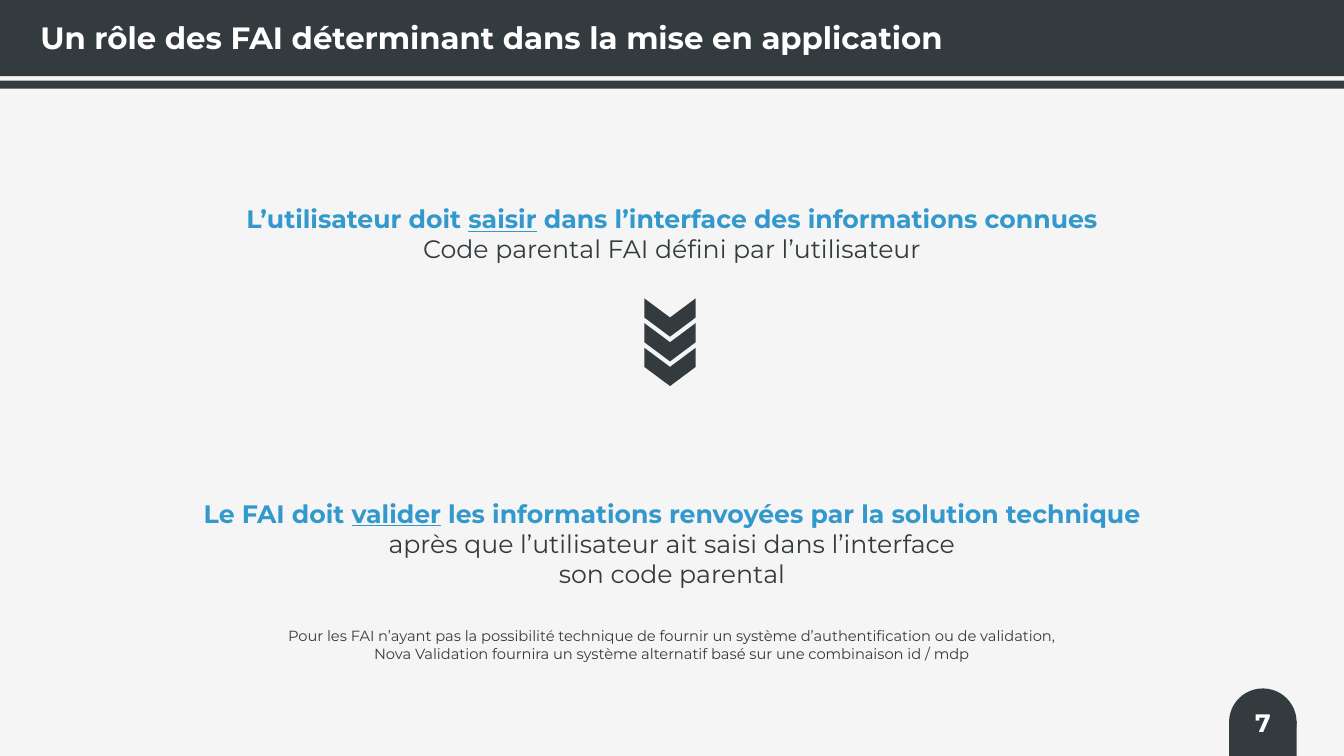
from pptx import Presentation, util as u
from pptx.dml.color import RGBColor
from pptx.enum import shapes, text

W, H = 13.33, 7.5
FONT = "Montserrat"
DARK, BLUE, WHITE, PALE = "343B3F", "3399CC", "FFFFFF", "F5F5F5"
MS = shapes.MSO_SHAPE
CENTER, LEFT = text.PP_ALIGN.CENTER, text.PP_ALIGN.LEFT


def rgb(hex_color):
    return RGBColor.from_string(hex_color)


def inches(box):
    return [u.Inches(v) for v in box]


def add_block(slide, kind, box, rotation=0):
    sp = slide.shapes.add_shape(kind, *inches(box))
    sp.shadow.inherit = False
    sp.fill.solid()
    sp.fill.fore_color.rgb = rgb(DARK)
    sp.line.fill.background()
    sp.rotation = rotation
    return sp


def add_run(p, content, size=18, color=DARK, bold=False, underline=False):
    r = p.add_run()
    r.text = content
    r.font.name, r.font.size = FONT, u.Pt(size)
    r.font.bold, r.font.underline = bold, underline
    r.font.color.rgb = rgb(color)


def write(sp, lines, align=CENTER, **fmt):
    """Fill a shape; each line is a list of (text, format overrides) runs."""
    tf = sp.text_frame
    tf.word_wrap = True
    tf.auto_size = text.MSO_AUTO_SIZE.NONE
    tf.vertical_anchor = text.MSO_ANCHOR.TOP
    tf.margin_left = tf.margin_right = u.Inches(0.1)
    tf.margin_top = tf.margin_bottom = u.Inches(0.05)
    for i, runs in enumerate(lines):
        p = tf.paragraphs[0] if i == 0 else tf.add_paragraph()
        p.alignment = align
        p.line_spacing = 1.0
        p.space_before = u.Pt(0)
        for content, extra in runs:
            add_run(p, content, **{**fmt, **extra})


def header(slide, box, title):
    x, y, w, h = box
    add_block(slide, MS.RECTANGLE, (x, y, w, h * 0.86))
    add_block(slide, MS.RECTANGLE, (x, y + h * 0.91, w, h * 0.09))
    sp = slide.shapes.title
    sp.left, sp.top, sp.width, sp.height = inches((x + 0.3, y + 0.14, w - 0.85, 0.47))
    write(sp, [[(title, {})]], LEFT, size=22, color=WHITE, bold=True)
    slide.shapes.element.append(sp.element)  # in front of the band


def step(slide, box, before, verb, after, details):
    """Blue heading with an underlined verb, then plain lines."""
    blue = dict(color=BLUE, bold=True)
    heading = [(before, blue), (verb, dict(blue, underline=True)), (after, blue)]
    sp = slide.shapes.add_textbox(*inches(box))
    write(sp, [heading] + [[(line, {})] for line in details])


def down_arrows(slide, box, count=3):
    x, y, w, h = box
    length = 0.38
    pitch = (h - length) / (count - 1)
    for i in range(count):
        # a quarter turn swaps the sides about the centre
        left = x + (w - length) / 2
        top = y + i * pitch + (length - w) / 2
        add_block(slide, MS.CHEVRON, (left, top, length, w), rotation=90)


def note(slide, box, lines):
    sp = slide.shapes.add_textbox(*inches(box))
    write(sp, [[(line, {})] for line in lines], size=10.5)


def page_tab(slide, box, number):
    x, y, w, h = box
    add_block(slide, MS.OVAL, box)
    add_block(slide, MS.RECTANGLE, (x, y + h * 0.48, w, h * 0.52))
    label = add_block(slide, MS.RECTANGLE, (x + w * 0.1, y + h * 0.2, w * 0.8, h * 0.6))
    write(label, [[(number, {})]], color=WHITE, bold=True)


def main():
    prs = Presentation()
    prs.slide_width, prs.slide_height = inches((W, H))
    slide = prs.slides.add_slide(prs.slide_layouts[5])
    slide.background.fill.solid()
    slide.background.fill.fore_color.rgb = rgb(PALE)

    step(slide, (1.73, 4.89, 9.87, 1.31), "Le FAI doit ", "valider",
         " les informations renvoyées par la solution technique",
         ["après que l’utilisateur ait saisi dans l’interface", "son code parental"])
    step(slide, (0.61, 1.97, 12.11, 0.71), "L’utilisateur doit ", "saisir",
         " dans l’interface des informations connues",
         ["Code parental FAI défini par l’utilisateur"])
    down_arrows(slide, (6.39, 2.96, 0.51, 0.87))
    note(slide, (2.65, 6.17, 8.03, 0.45), [
        "Pour les FAI n’ayant pas la possibilité technique de fournir "
        "un système d’authentification ou de validation,",
        "Nova Validation fournira un système alternatif basé sur une combinaison id / mdp"])
    header(slide, (0, 0, W, 0.88), "Un rôle des FAI déterminant dans la mise en application")
    page_tab(slide, (12.19, H - 0.67, 0.67, 0.67), "7")
    prs.save("out.pptx")


if __name__ == "__main__":
    main()
